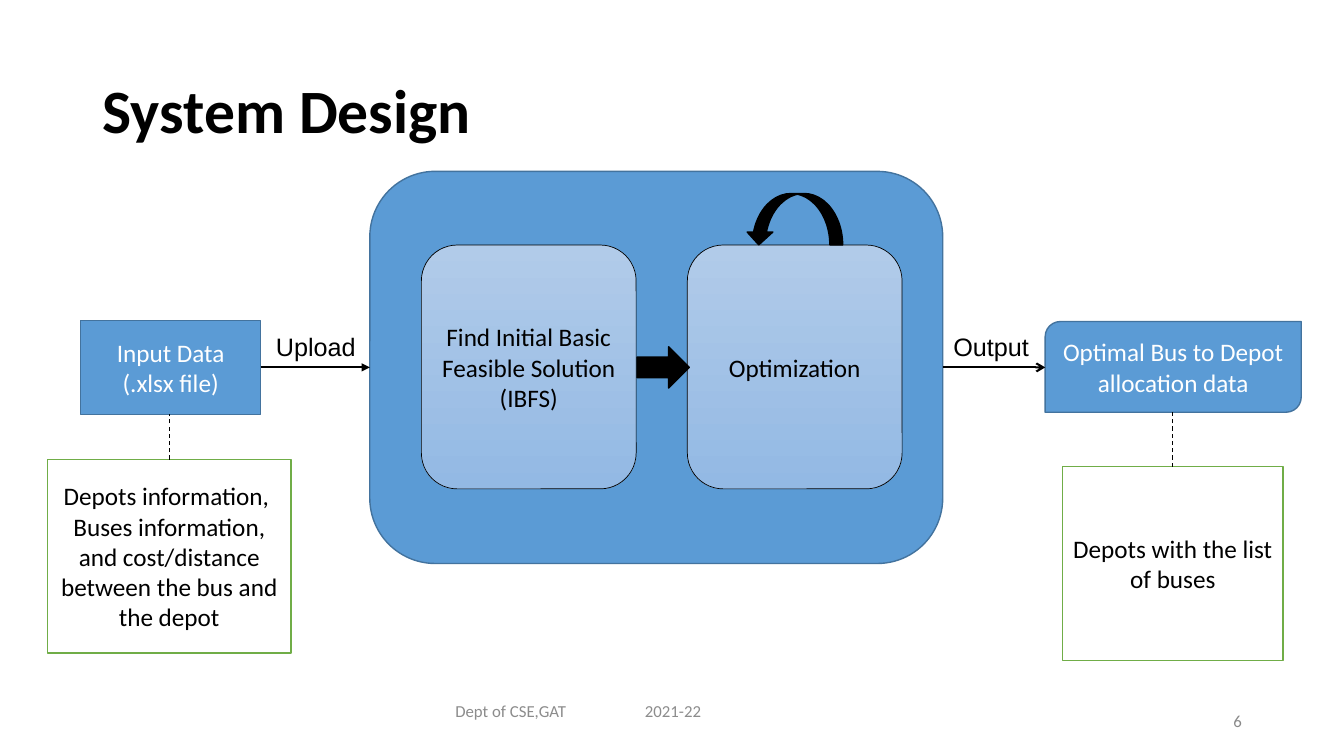
"""Build the System Design slide: input data, two-step solver and allocation output."""
from dataclasses import dataclass

from lxml import etree
from pptx import Presentation
from pptx.dml.color import RGBColor
from pptx.enum.dml import MSO_LINE
from pptx.enum.shapes import MSO_CONNECTOR, MSO_SHAPE
from pptx.enum.text import MSO_ANCHOR, PP_ALIGN
from pptx.oxml.ns import qn
from pptx.util import Pt

RECT, ROUND = MSO_SHAPE.RECTANGLE, MSO_SHAPE.ROUNDED_RECTANGLE
DIAGONAL = MSO_SHAPE.ROUND_2_DIAG_RECTANGLE
LOOP, STEP = MSO_SHAPE.CURVED_UP_ARROW, MSO_SHAPE.RIGHT_ARROW
STRAIGHT, DASH = MSO_CONNECTOR.STRAIGHT, MSO_LINE.DASH
MIDDLE, TOP = MSO_ANCHOR.MIDDLE, MSO_ANCHOR.TOP
LEFT, CENTER, RIGHT = PP_ALIGN.LEFT, PP_ALIGN.CENTER, PP_ALIGN.RIGHT


@dataclass(frozen=True)
class Theme:
    """Colours, fonts and type sizes."""
    black: str = "000000"
    white: str = "FFFFFF"
    blue: str = "5B9BD5"
    blue_edge: str = "43739E"
    green: str = "70AD47"
    pale: tuple = ("B1CBE9", "93B9E4")
    number_grey: str = "898989"
    footer_grey: str = "8C8C8C"
    font: str = "Calibri"
    label_font: str = "Arial"
    title_size: int = 44
    body_size: int = 18
    small_size: int = 12


THEME = Theme()
STYLES = {
    "blue": (THEME.blue, THEME.blue_edge, 1, THEME.white),
    "pale": (THEME.pale, THEME.black, 0.5, THEME.black),
    "note": (THEME.white, THEME.green, 1, THEME.black),
    "arrow": (THEME.black, THEME.black, 1, THEME.white),
}

TITLE = "System Design"
SHAPES = {
    "process": (ROUND, "blue", (264.2, 122.4, 409.2, 280.1), []),
    "input": (RECT, "blue", (57.6, 229, 128.6, 67), ["Input Data", "(.xlsx file)"]),
    "output": (DIAGONAL, "blue", (746.6, 229.7, 182.9, 64.8),
               ["Optimal Bus to Depot allocation data"]),
    "initial": (ROUND, "pale", (301, 175, 153.4, 174.2),
                ["Find Initial Basic Feasible Solution (IBFS)"]),
    "optimization": (ROUND, "pale", (491, 175, 153.4, 174.2), ["Optimization"]),
    "loop": (LOOP, "arrow", (532.8, 138.2, 69.1, 36.7), []),
    "step": (STEP, "arrow", (455, 247.7, 37.4, 29.5), []),
    "input note": (RECT, "note", (33.8, 328.3, 174.2, 138.2),
                   ["Depots information, ",
                    "Buses information, and cost/distance between the bus and the depot"]),
    "output note": (RECT, "note", (758.9, 333.4, 157.7, 138.2),
                    ["Depots with the list of buses"]),
}
FLOWS = [("input", "process", "triangle"), ("process", "output", "arrow")]
NOTES = [("input note", "input"), ("output note", "output")]
LABELS = [("Upload", 190), ("Output", 673.9)]
FOOTER = "Dept of CSE,GAT\t2021-22"
FOOTER_TAB = 135.4
NUMBER = "6"


def write(frame, lines, color, size=THEME.body_size, font=THEME.font,
          align=CENTER, anchor=MIDDLE):
    """Fill a text frame with uniformly formatted paragraphs."""
    frame.word_wrap = True
    frame.vertical_anchor = anchor
    for index, line in enumerate(lines):
        para = frame.add_paragraph() if index else frame.paragraphs[0]
        para.text = line
        para.alignment = align
        para.font.name, para.font.size = font, Pt(size)
        para.font.color.rgb = RGBColor.from_string(color)


def add_text(page, place, lines, color, **options):
    """Add a text box and return its frame."""
    frame = page.shapes.add_textbox(*map(Pt, place)).text_frame
    write(frame, lines, color, **options)
    return frame


def add_box(page, kind, style, place, lines):
    """Add a styled preset shape with its text."""
    fill, edge, width, ink = STYLES[style]
    box = page.shapes.add_shape(kind, *map(Pt, place))
    box.shadow.inherit = False
    if isinstance(fill, tuple):
        box.fill.gradient()
        box.fill.gradient_angle = 270
        for stop, color in zip(box.fill.gradient_stops, fill):
            stop.color.rgb = RGBColor.from_string(color)
    else:
        box.fill.solid()
        box.fill.fore_color.rgb = RGBColor.from_string(fill)
    box.line.color.rgb = RGBColor.from_string(edge)
    box.line.width = Pt(width)
    if lines:
        write(box.text_frame, lines, ink)
    return box


def add_line(page, start, end, width, head=None):
    """Add a black connector: an arrow when a head is given, else a dashed line."""
    line = page.shapes.add_connector(STRAIGHT, *map(Pt, (*start, *end)))
    line.line.color.rgb = RGBColor.from_string(THEME.black)
    line.line.width = Pt(width)
    if head:
        etree.SubElement(line.line._get_or_add_ln(), qn("a:tailEnd"), type=head)
    else:
        line.line.dash_style = DASH
    etree.SubElement(line._element.spPr, qn("a:effectLst"))


def build():
    """Assemble and save the slide."""
    deck = Presentation()
    deck.slide_width, deck.slide_height = Pt(960), Pt(540)
    page = deck.slides.add_slide(deck.slide_layouts[5])

    title = page.shapes.title
    title.left, title.top, title.width, title.height = map(Pt, (66, 28.8, 828, 104.4))
    write(title.text_frame, [TITLE], THEME.black, size=THEME.title_size, align=LEFT)
    heading = title.text_frame.paragraphs[0]
    heading.font.bold, heading.line_spacing = True, 0.9

    boxes = {name: add_box(page, *parts) for name, parts in SHAPES.items()}
    boxes["loop"].rotation = 180

    _, top, _, height = SHAPES["process"][2]
    flow_y = top + height / 2
    for source, target, head in FLOWS:
        left, _, width, _ = SHAPES[source][2]
        add_line(page, (left + width, flow_y), (SHAPES[target][2][0], flow_y), 1.5, head)
    for note, owner in NOTES:
        left, note_top, width, _ = SHAPES[note][2]
        _, top, _, height = SHAPES[owner][2]
        center = left + width / 2
        add_line(page, (center, note_top), (center, top + height), 0.75)

    for label, left in LABELS:
        add_text(page, (left, 233.3, 97.9, 28.8), [label], THEME.black,
                 font=THEME.label_font, align=LEFT, anchor=TOP)

    footer = add_text(page, (318.2, 500.4, 324, 28.8), [FOOTER], THEME.footer_grey,
                      size=THEME.small_size, align=LEFT, anchor=TOP)
    footer.margin_top = 0
    properties = footer.paragraphs[0]._p.get_or_add_pPr()
    tabs = etree.Element(qn("a:tabLst"))
    etree.SubElement(tabs, qn("a:tab"), pos=str(Pt(FOOTER_TAB)), algn="l")
    properties.insert(0, tabs)
    add_text(page, (678.2, 500.4, 216, 28.8), [NUMBER], THEME.number_grey,
             size=THEME.small_size, align=RIGHT)
    deck.save("out.pptx")


build()
